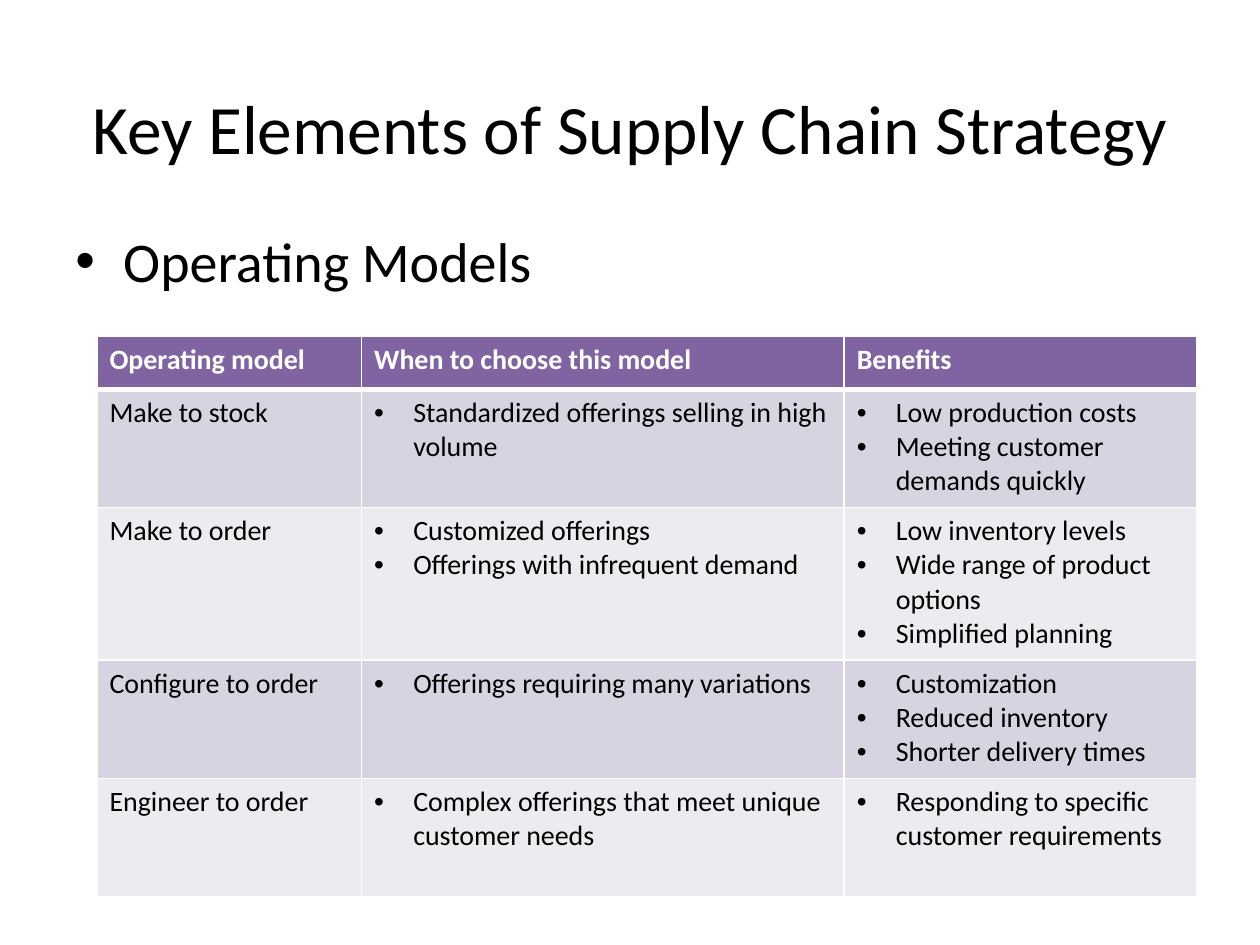
from dataclasses import dataclass

from lxml import etree
from pptx import Presentation
from pptx.dml.color import RGBColor
from pptx.enum.text import MSO_ANCHOR, PP_ALIGN
from pptx.oxml.ns import qn
from pptx.util import Inches, Pt

FONT = "Calibri"
BLACK = RGBColor(0x00, 0x00, 0x00)
WHITE = RGBColor(0xFF, 0xFF, 0xFF)
PURPLE = RGBColor(0x80, 0x64, 0xA2)
BAND_DARK = RGBColor(0xD8, 0xD3, 0xE0)
BAND_LIGHT = RGBColor(0xED, 0xEA, 0xF0)


@dataclass(frozen=True)
class OperatingModel:
    name: str
    when: tuple[str, ...]
    benefits: tuple[str, ...]
    height: float = 0.94


HEADERS = ("Operating model", "When to choose this model", "Benefits")
HEADER_HEIGHT = 0.42
COLUMN_WIDTHS = (2.1, 3.83, 2.8)
MODELS = (
    OperatingModel(
        "Make to stock",
        ("Standardized offerings selling in high volume",),
        ("Low production costs", "Meeting customer demands quickly"),
    ),
    OperatingModel(
        "Make to order",
        ("Customized offerings", "Offerings with infrequent demand"),
        ("Low inventory levels", "Wide range of product options", "Simplified planning"),
        height=1.21,
    ),
    OperatingModel(
        "Configure to order",
        ("Offerings requiring many variations",),
        ("Customization", "Reduced inventory", "Shorter delivery times"),
    ),
    OperatingModel(
        "Engineer to order",
        ("Complex offerings that meet unique customer needs",),
        ("Responding to specific customer requirements",),
    ),
)


def write_lines(frame, lines: tuple[str, ...], size: float, color: RGBColor = BLACK,
                bold: bool = False, bullet_indent: float = 0) -> None:
    """Fill a text frame with one paragraph per line, bulleted if indented."""
    frame.word_wrap = True
    for index, line in enumerate(lines):
        paragraph = frame.paragraphs[0] if index == 0 else frame.add_paragraph()
        run = paragraph.add_run()
        run.text = line
        run.font.name = FONT
        run.font.size = Pt(size)
        run.font.bold = bold
        run.font.color.rgb = color
        if bullet_indent:
            properties = paragraph._p.get_or_add_pPr()
            properties.set("marL", str(Inches(bullet_indent)))
            properties.set("indent", str(-Inches(bullet_indent)))
            etree.SubElement(properties, qn("a:buFont"), typeface="Arial")
            etree.SubElement(properties, qn("a:buChar"), char="•")


def set_borders(cell, top: float = 1, bottom: float = 1) -> None:
    """Draw white borders of the given widths in points."""
    properties = cell._tc.get_or_add_tcPr()
    widths = (("L", 1), ("R", 1), ("T", top), ("B", bottom))
    for position, (side, width) in enumerate(widths):
        line = etree.Element(qn(f"a:ln{side}"), w=str(Pt(width)))
        fill = etree.SubElement(line, qn("a:solidFill"))
        etree.SubElement(fill, qn("a:srgbClr"), val=str(WHITE))
        properties.insert(position, line)


def style_cell(cell, color: RGBColor, top: float = 1, bottom: float = 1) -> None:
    cell.fill.solid()
    cell.fill.fore_color.rgb = color
    set_borders(cell, top, bottom)


prs = Presentation()
prs.slide_width, prs.slide_height = Inches(10), Inches(7.5)
slide = prs.slides.add_slide(prs.slide_layouts[6])

# Title
title = slide.shapes.add_textbox(Inches(0.5), Inches(0.38), Inches(9), Inches(1.25)).text_frame
write_lines(title, ("Key Elements of Supply Chain Strategy",), 39.6)
title.vertical_anchor = MSO_ANCHOR.MIDDLE
title.paragraphs[0].alignment = PP_ALIGN.CENTER

# Topic
topic = slide.shapes.add_textbox(Inches(0.5), Inches(1.75), Inches(9), Inches(4.95)).text_frame
write_lines(topic, ("Operating Models",), 32, bullet_indent=0.38)
topic.paragraphs[0].space_before = Pt(6.4)

# Table grid
row_heights = (HEADER_HEIGHT, *(model.height for model in MODELS))
table = slide.shapes.add_table(
    len(row_heights), len(COLUMN_WIDTHS), Inches(0.77), Inches(2.67),
    Inches(sum(COLUMN_WIDTHS)), Inches(sum(row_heights)),
).table
for column, width in zip(table.columns, COLUMN_WIDTHS):
    column.width = Inches(width)
for row, height in zip(table.rows, row_heights):
    row.height = Inches(height)

# Header row
for column, header in enumerate(HEADERS):
    cell = table.cell(0, column)
    write_lines(cell.text_frame, (header,), 16, WHITE, bold=True)
    style_cell(cell, PURPLE, bottom=3)

# Operating models
for row, model in enumerate(MODELS, start=1):
    for column, lines in enumerate(((model.name,), model.when, model.benefits)):
        cell = table.cell(row, column)
        write_lines(cell.text_frame, lines, 16, bullet_indent=0.31 if column else 0)
        style_cell(cell, BAND_DARK if row % 2 else BAND_LIGHT, top=3 if row == 1 else 1)

prs.save("out.pptx")
